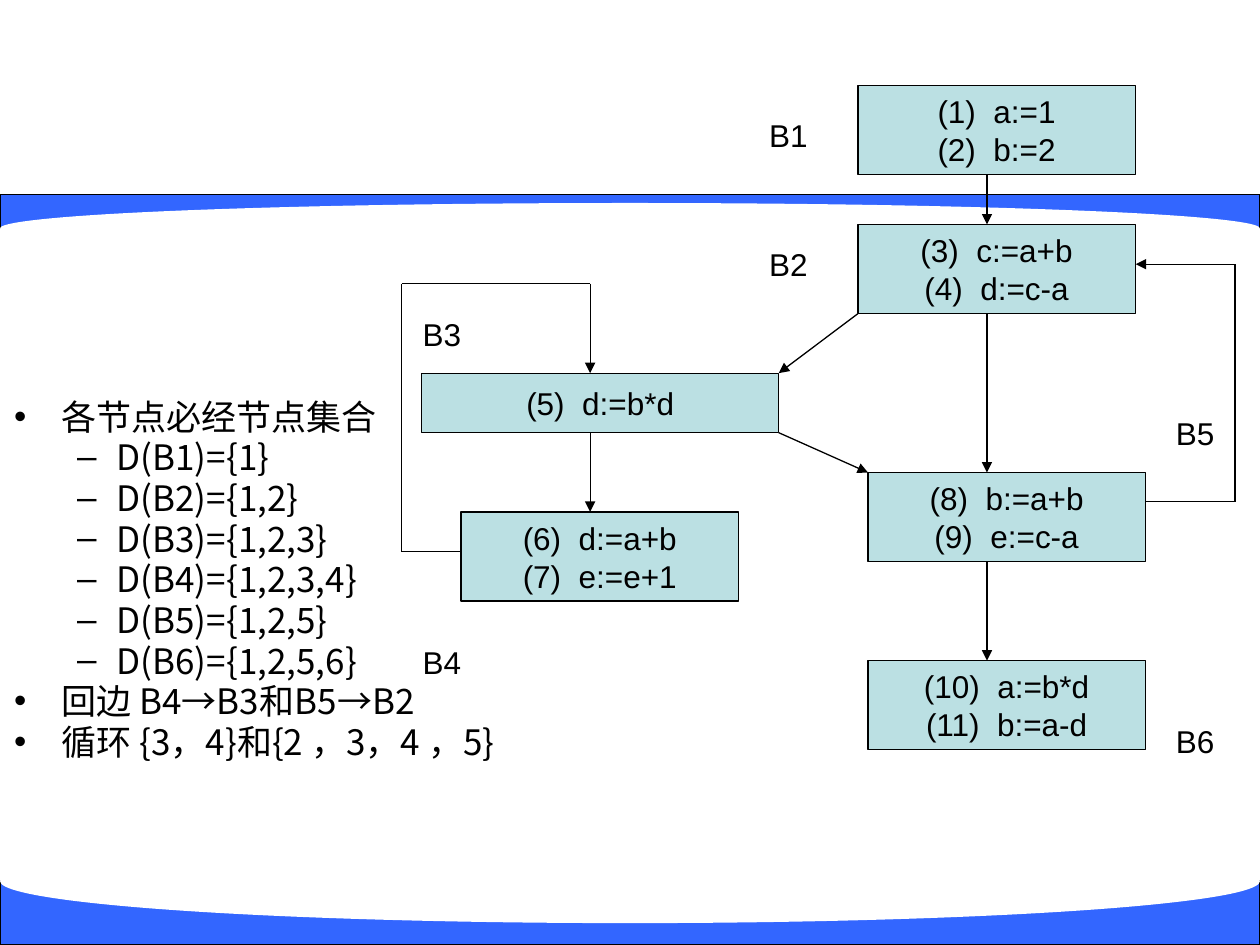
from dataclasses import dataclass
from itertools import pairwise

from lxml import etree
from pptx import Presentation
from pptx.dml.color import RGBColor
from pptx.enum import shapes, text
from pptx.oxml import ns
from pptx.util import Pt


@dataclass(frozen=True)
class Theme:
    blue: RGBColor = RGBColor(0x33, 0x66, 0xFF)
    white: RGBColor = RGBColor(0xFF, 0xFF, 0xFF)
    black: RGBColor = RGBColor(0, 0, 0)
    block: RGBColor = RGBColor(0xBB, 0xE0, 0xE3)
    body_font: str = "Noto Sans CJK SC"
    diagram_font: str = "Arial"
    body_size: int = 20
    diagram_size: int = 18
    line_width: float = 0.75


THEME = Theme()
WIDTH, HEIGHT = 720, 540
BLOCK_WIDTH, BLOCK_HEIGHT = 158.5, 51

BLOCKS = [  # left, top, width, height, statements
    (490.25, 48.75, BLOCK_WIDTH, BLOCK_HEIGHT, ["(1)  a:=1", "(2)  b:=2"]),
    (490.25, 128.25, BLOCK_WIDTH, BLOCK_HEIGHT, ["(3)  c:=a+b", "(4)  d:=c-a"]),
    (241, 213.25, 204, 34, ["(5)  d:=b*d"]),
    (263.5, 292.5, BLOCK_WIDTH, BLOCK_HEIGHT, ["(6)  d:=a+b", "(7)  e:=e+1"]),
    (496, 270, BLOCK_WIDTH, BLOCK_HEIGHT, ["(8)  b:=a+b", "(9)  e:=c-a"]),
    (496, 377.5, BLOCK_WIDTH, BLOCK_HEIGHT, ["(10)  a:=b*d", "(11)  b:=a-d"]),
]
LABELS = [(433.5, 65.5), (433.5, 139.5), (235.5, 179.5),
          (235.5, 366.5), (666, 236), (666, 412)]
MAIN_X, LOOP_X = 564, 337.25
ROUTES = [
    [(MAIN_X, 100), (MAIN_X, 128.25)],
    [(MAIN_X, 179.25), (MAIN_X, 270)],
    [(MAIN_X, 321), (MAIN_X, 377.5)],
    [(LOOP_X, 247.25), (LOOP_X, 292.5)],
    [(490.25, 179.25), (445, 213.25)],
    [(445, 247.25), (496, 270)],
    [(263.5, 315.25), (229.5, 315.25), (229.5, 162), (LOOP_X, 162), (LOOP_X, 213.25)],
    [(654.5, 286.75), (705.75, 286.75), (705.75, 151), (649, 151)],
]
NOTES = [  # level, text
    (0, "各节点必经节点集合"),
    (1, "D(B1)={1}"),
    (1, "D(B2)={1,2}"),
    (1, "D(B3)={1,2,3}"),
    (1, "D(B4)={1,2,3,4}"),
    (1, "D(B5)={1,2,5}"),
    (1, "D(B6)={1,2,5,6}"),
    (0, "回边 B4→B3和B5→B2"),
    (0, "循环 {3，4}和{2 ，3，4 ，5}"),
]
BULLETS = [("•", 27, -27), ("–", 58.5, -22.5)]  # by level: mark, margin, indent


def add_filled(slide, kind, box, fill, outlined=True):
    shape = slide.shapes.add_shape(kind, *map(Pt, box))
    shape.shadow.inherit = False
    shape.fill.solid()
    shape.fill.fore_color.rgb = fill
    if outlined:
        shape.line.color.rgb = THEME.black
        shape.line.width = Pt(THEME.line_width)
    else:
        shape.line.fill.background()
    return shape


def add_band(slide, box, ellipse_top, ellipse_height):
    """Blue strip whose inner edge is curved by a white ellipse."""
    add_filled(slide, shapes.MSO_SHAPE.RECTANGLE, box, THEME.blue)
    add_filled(slide, shapes.MSO_SHAPE.OVAL,
               (box[0], ellipse_top, box[2], ellipse_height), THEME.white, False)


def write_centred(shape, lines):
    frame = shape.text_frame
    frame.word_wrap = False
    frame.margin_left = frame.margin_right = 0
    frame.vertical_anchor = text.MSO_ANCHOR.MIDDLE
    frame.text = "\n".join(lines)
    for paragraph in frame.paragraphs:
        paragraph.alignment = text.PP_ALIGN.CENTER
        style_font(paragraph, THEME.diagram_font, THEME.diagram_size)


def style_font(paragraph, name, size):
    font = paragraph.font
    font.name, font.size = name, Pt(size)
    font.color.rgb = THEME.black


def add_bullet(paragraph, level):
    mark, margin, indent = BULLETS[level]
    properties = paragraph._p.get_or_add_pPr()
    properties.set("marL", str(Pt(margin)))
    properties.set("indent", str(Pt(indent)))
    etree.SubElement(properties, ns.qn("a:buFont"), typeface="Arial")
    etree.SubElement(properties, ns.qn("a:buChar"), char=mark)


def add_notes(slide, box):
    frame = slide.shapes.add_textbox(*map(Pt, box)).text_frame
    frame.word_wrap = True
    frame.text = "\n".join(line for _, line in NOTES)
    for index, (paragraph, (level, _)) in enumerate(zip(frame.paragraphs, NOTES)):
        paragraph.level = level
        paragraph.line_spacing = 0.8
        paragraph.space_before = Pt(0.2 * THEME.body_size if index else 0)
        add_bullet(paragraph, level)
        style_font(paragraph, THEME.body_font, THEME.body_size)
        latin = paragraph._p.pPr.find(ns.qn("a:defRPr")).find(ns.qn("a:latin"))
        latin.addnext(latin.makeelement(ns.qn("a:ea"), {"typeface": THEME.body_font}))


def add_route(slide, points):
    """Chain of straight lines with an arrowhead at the last point."""
    for start, end in pairwise(points):
        connector = slide.shapes.add_connector(
            shapes.MSO_CONNECTOR.STRAIGHT, *map(Pt, start + end))
        connector.line.color.rgb = THEME.black
        connector.line.width = Pt(THEME.line_width)
        properties = connector._element.spPr
        etree.SubElement(properties, ns.qn("a:effectLst"))
    etree.SubElement(properties.find(ns.qn("a:ln")), ns.qn("a:tailEnd"), type="triangle")


def add_flow_graph(slide):
    for *box, lines in BLOCKS:
        write_centred(add_filled(slide, shapes.MSO_SHAPE.RECTANGLE, box, THEME.block), lines)
    for number, (left, top) in enumerate(LABELS, 1):
        label = slide.shapes.add_textbox(Pt(left), Pt(top), Pt(34), Pt(23))
        write_centred(label, [f"B{number}"])
    for points in ROUTES:
        add_route(slide, points)


def main():
    presentation = Presentation()
    presentation.slide_width, presentation.slide_height = Pt(WIDTH), Pt(HEIGHT)
    slide = presentation.slides.add_slide(presentation.slide_layouts[6])
    add_band(slide, (0, 111.25, WIDTH, 19.5), 116, 29)
    add_band(slide, (0, 503.5, WIDTH, 36.5), 479.5, 48)
    add_notes(slide, (1, 227, 397, 221))
    add_flow_graph(slide)
    presentation.save("out.pptx")


if __name__ == "__main__":
    main()
